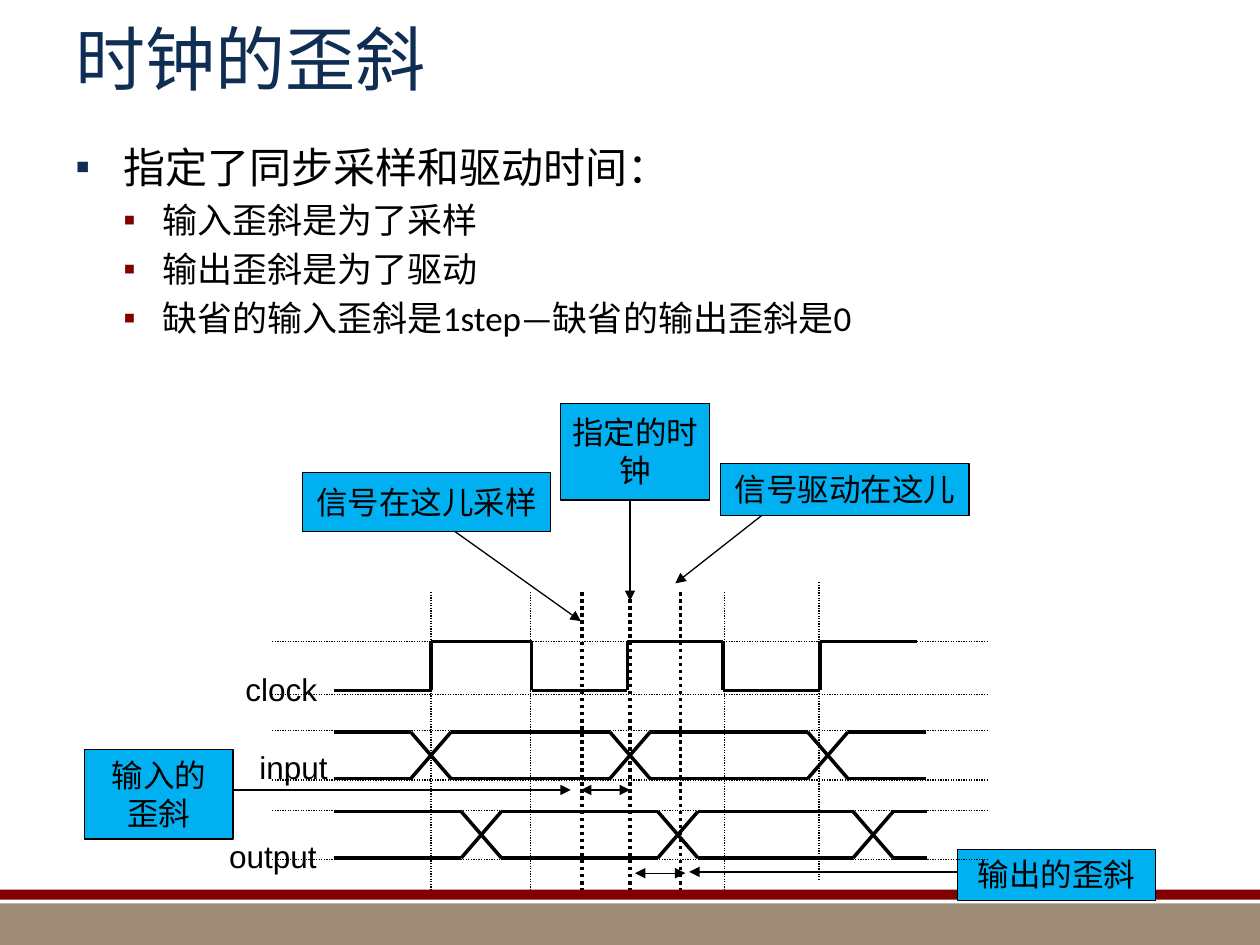
from typing import NamedTuple

from lxml import etree
from pptx import Presentation
from pptx.dml.color import RGBColor
from pptx.enum.dml import MSO_LINE
from pptx.enum.shapes import MSO_CONNECTOR, MSO_SHAPE
from pptx.enum.text import MSO_ANCHOR, PP_ALIGN
from pptx.oxml.ns import qn
from pptx.util import Cm, Pt

BLACK, NAVY, MAROON, TAUPE, SKY = "000000", "102E54", "800000", "9E8C78", "00B0F0"
THIN, THICK = 0.75, 2


class Callout(NamedTuple):
    text: str
    box: tuple
    font: str = "Karla"
    inset: float = 0.1


class Bus(NamedTuple):
    high: float
    low: float
    crossings: tuple
    end: float


def inch(value: float) -> Cm:
    return Cm(value * 2.54)


def color(value: str) -> RGBColor:
    return RGBColor.from_string(value)


def add_text(p, text: str, *, size: float, font: str, fill: str = BLACK, align=PP_ALIGN.LEFT) -> None:
    p.alignment = align
    r = p.add_run()
    r.text = text
    r.font.size, r.font.name = Pt(size), font
    r.font.color.rgb = color(fill)


def add_bullet(p, fill: str, margin: float, hang: float) -> None:
    pPr = p._p.get_or_add_pPr()
    pPr.set("marL", str(inch(margin)))
    pPr.set("indent", str(-inch(hang)))
    clr = etree.SubElement(pPr, qn("a:buClr"))
    etree.SubElement(clr, qn("a:srgbClr"), val=fill)
    etree.SubElement(pPr, qn("a:buFont"), typeface="Arial")
    etree.SubElement(pPr, qn("a:buChar"), char="▪")


def add_rect(s, box: tuple, fill: str, outlined: bool = False):
    sp = s.shapes.add_shape(MSO_SHAPE.RECTANGLE, *map(inch, box))
    sp.shadow.inherit = False
    sp.fill.solid()
    sp.fill.fore_color.rgb = color(fill)
    if outlined:
        sp.line.color.rgb = color(BLACK)
        sp.line.width = Pt(THIN)
    else:
        sp.line.fill.background()
    return sp


def add_callout(s, c: Callout) -> None:
    tf = add_rect(s, c.box, SKY, outlined=True).text_frame
    tf.word_wrap = True
    tf.vertical_anchor = MSO_ANCHOR.TOP
    tf.margin_left = tf.margin_right = inch(c.inset)
    tf.margin_top = tf.margin_bottom = inch(0.08 if c.inset < 0.1 else 0.05)
    add_text(tf.paragraphs[0], c.text, size=18, font=c.font, align=PP_ALIGN.CENTER)


def add_textbox(s, box: tuple):
    tf = s.shapes.add_textbox(*map(inch, box)).text_frame
    tf.word_wrap = True
    return tf


def add_line(s, x1: float, y1: float, x2: float, y2: float, width: float = THICK,
             dotted: bool = False, ends: tuple = ()) -> None:
    sp = s.shapes.add_connector(MSO_CONNECTOR.STRAIGHT, *map(inch, (x1, y1, x2, y2)))
    sp.line.color.rgb = color(BLACK)
    sp.line.width = Pt(width)
    if dotted:
        sp.line.dash_style = MSO_LINE.ROUND_DOT
    ln = sp.line._get_or_add_ln()
    for end in ends:
        etree.SubElement(ln, qn(f"a:{end}"), type="triangle")
    etree.SubElement(sp._element.spPr, qn("a:effectLst"))


def add_clock(s, high: float, low: float, start: float, edges: tuple, end: float) -> None:
    stops = (start, *edges, end)
    for i, (left, right) in enumerate(zip(stops, stops[1:])):
        y = high if i % 2 else low
        add_line(s, left, y, right, y)
    for x in edges:
        add_line(s, x, high, x, low)


def add_bus(s, bus: Bus, start: float, half: float = 0.16) -> None:
    left = start
    for x in (*bus.crossings, None):
        right = bus.end if x is None else x - half
        for y in (bus.high, bus.low):
            add_line(s, left, y, right, y)
        if x is not None:
            left = x + half
            add_line(s, right, bus.high, left, bus.low)
            add_line(s, left, bus.high, right, bus.low)


def main() -> None:
    prs = Presentation()
    prs.slide_width, prs.slide_height = inch(10), inch(7.5)
    s = prs.slides.add_slide(prs.slide_layouts[5])

    # Footer bands
    add_rect(s, (0, 7.17, 10, 0.33), TAUPE)
    add_rect(s, (0, 7.06, 10, 0.08), MAROON)

    # Title
    title = s.shapes.title
    title.left, title.top, title.width, title.height = map(inch, (0.5, 0, 9, 0.92))
    title.text_frame.vertical_anchor = MSO_ANCHOR.MIDDLE
    add_text(title.text_frame.paragraphs[0], "时钟的歪斜", size=40, font="Calibri", fill=NAVY)

    # Bullets
    tf = add_textbox(s, (0.5, 1.07, 9, 1.75))
    p = tf.paragraphs[0]
    add_bullet(p, NAVY, 0.38, 0.38)
    add_text(p, "指定了同步采样和驱动时间：", size=24, font="Calibri")
    for text in ("输入歪斜是为了采样", "输出歪斜是为了驱动", "缺省的输入歪斜是1step—缺省的输出歪斜是0"):
        p = tf.add_paragraph()
        p.level = 1
        p.space_before = Pt(4)
        add_bullet(p, MAROON, 0.69, 0.31)
        add_text(p, text, size=20, font="Calibri")

    # Arrows from the callouts, and the two skew spans
    for points in ((3.5, 4.14, 4.61, 4.93), (5, 3.75, 5, 4.77), (6.06, 4.08, 5.36, 4.63),
                   (7.6, 6.92, 5.47, 6.92), (1.85, 6.27, 4.53, 6.27)):
        add_line(s, *points, width=THIN, ends=("tailEnd",))
    for points in ((5.44, 6.93, 5.04, 6.93), (5, 6.27, 4.61, 6.27)):
        add_line(s, *points, width=THIN, ends=("headEnd", "tailEnd"))

    # Callouts
    for c in (
        Callout("信号在这儿采样", (2.4, 3.75, 1.97, 0.47), "Arial", 0.08),
        Callout("指定的时钟", (4.45, 3.2, 1.18, 0.77), "Arial", 0.08),
        Callout("信号驱动在这儿", (5.72, 3.68, 1.97, 0.41)),
        Callout("输出的歪斜", (7.6, 6.74, 1.57, 0.41)),
        Callout("输入的歪斜", (0.67, 5.95, 1.18, 0.71)),
    ):
        add_callout(s, c)

    # Dotted guides: signal levels, clock edges, sampling and driving times
    for y in (5.09, 5.51, 5.8, 6.19, 6.43, 6.82):
        add_line(s, 2.16, y, 7.84, y, width=THIN, dotted=True)
    for x in (3.42, 4.21, 5.75):
        add_line(s, x, 4.7, x, 7.06, width=THIN, dotted=True)
    add_line(s, 6.5, 4.62, 6.5, 6.98, width=THIN, dotted=True)
    for x in (4.62, 5, 5.4):
        add_line(s, x, 4.7, x, 7.06, dotted=True)

    # Waveforms
    start = 2.65
    add_clock(s, 5.09, 5.48, start, (3.42, 4.22, 4.98, 5.74, 6.51), 7.28)
    add_bus(s, Bus(5.81, 6.18, (3.42, 5, 6.57), 7.35), start)
    add_bus(s, Bus(6.44, 6.81, (3.82, 5.38, 6.93), 7.36), start)

    # Signal names
    for name, x, y, width in (("clock", 1.85, 5.27, 0.94), ("input", 1.96, 5.89, 0.94),
                              ("output", 1.72, 6.59, 1.34)):
        tf = add_textbox(s, (x, y, width, 0.37))
        add_text(tf.paragraphs[0], name, size=18, font="Arial")

    prs.save("out.pptx")


if __name__ == "__main__":
    main()
